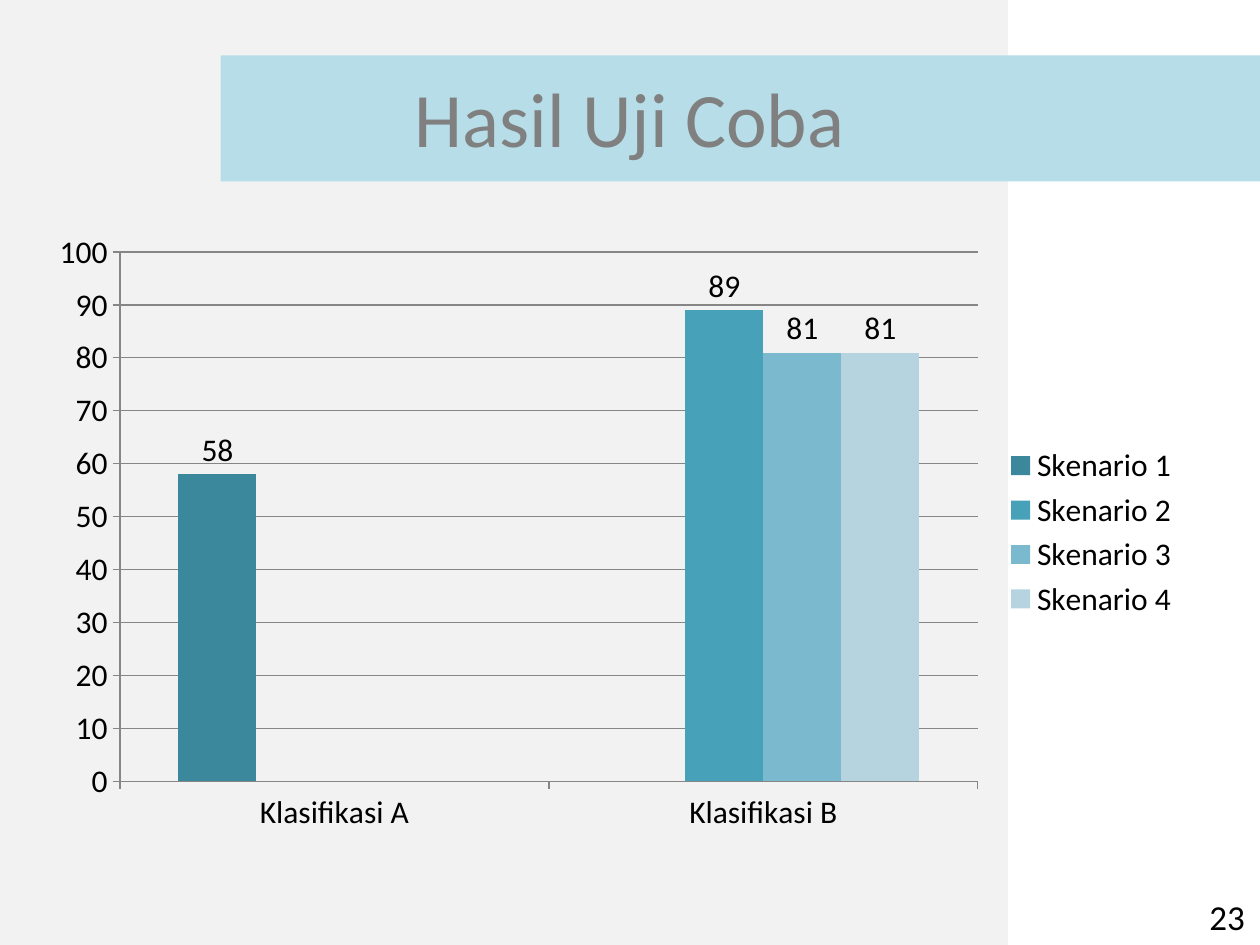
from dataclasses import dataclass
from typing import Optional

import pptx
import pptx.chart.data
import pptx.dml.color
import pptx.enum.chart
import pptx.enum.shapes
import pptx.enum.text
import pptx.util
from pptx.util import Inches

FONT = "Calibri"
COLORS = {
    "panel": "F2F2F2",
    "band": "B7DEE8",
    "title": "808080",
    "text": "000000",
    "axis": "868686",
}
CATEGORIES = ["Klasifikasi A", "Klasifikasi B"]


@dataclass
class Frame:
    left: float
    top: float
    width: float
    height: float

    def lengths(self) -> tuple:
        return tuple(Inches(v) for v in (self.left, self.top, self.width, self.height))


@dataclass
class Scenario:
    name: str
    values: tuple[Optional[int], Optional[int]]
    color: str


SCENARIOS = [
    Scenario("Skenario 1", (58, None), "3B879B"),
    Scenario("Skenario 2", (None, 89), "46A1B9"),
    Scenario("Skenario 3", (None, 81), "7BB9CF"),
    Scenario("Skenario 4", (None, 81), "B6D4E0"),
]


def rgb(color: str) -> pptx.dml.color.RGBColor:
    return pptx.dml.color.RGBColor.from_string(color)


def style_font(font, size: float, color: str) -> None:
    font.name = FONT
    font.size = pptx.util.Pt(size)
    font.color.rgb = rgb(color)


def add_block(slide, frame: Frame, color: str) -> None:
    block = slide.shapes.add_shape(
        pptx.enum.shapes.MSO_SHAPE.RECTANGLE, *frame.lengths())
    block.shadow.inherit = False
    block.fill.solid()
    block.fill.fore_color.rgb = rgb(color)
    block.line.fill.background()


def add_text(slide, frame: Frame, text: str, size: float, color: str,
             align=pptx.enum.text.PP_ALIGN.LEFT,
             anchor=pptx.enum.text.MSO_ANCHOR.TOP) -> None:
    box = slide.shapes.add_textbox(*frame.lengths())
    box.text_frame.word_wrap = True
    box.text_frame.vertical_anchor = anchor
    para = box.text_frame.paragraphs[0]
    para.text = text
    para.alignment = align
    style_font(para.font, size, color)


def add_scenario_chart(slide, frame: Frame) -> None:
    data = pptx.chart.data.CategoryChartData()
    data.categories = CATEGORIES
    for scenario in SCENARIOS:
        data.add_series(scenario.name, scenario.values)
    chart = slide.shapes.add_chart(
        pptx.enum.chart.XL_CHART_TYPE.COLUMN_CLUSTERED, *frame.lengths(), data).chart
    style_font(chart.font, 18, COLORS["text"])
    chart.has_title = False
    chart.has_legend = True
    chart.legend.position = pptx.enum.chart.XL_LEGEND_POSITION.RIGHT
    chart.legend.include_in_layout = False

    value_axis = chart.value_axis
    value_axis.minimum_scale, value_axis.maximum_scale = 0, 100
    value_axis.major_unit = 10
    value_axis.has_major_gridlines = True
    lines = [value_axis.major_gridlines.format.line]
    for axis in (chart.category_axis, value_axis):
        axis.major_tick_mark = pptx.enum.chart.XL_TICK_MARK.OUTSIDE
        lines.append(axis.format.line)
    for line in lines:
        line.color.rgb = rgb(COLORS["axis"])
        line.width = pptx.util.Pt(0.75)

    plot = chart.plots[0]
    plot.gap_width = 150
    plot.overlap = 0
    plot.vary_by_categories = False
    for series, scenario in zip(plot.series, SCENARIOS):
        series.format.fill.solid()
        series.format.fill.fore_color.rgb = rgb(scenario.color)
        series.data_labels.show_value = True
        series.data_labels.position = pptx.enum.chart.XL_LABEL_POSITION.OUTSIDE_END


def main() -> None:
    deck = pptx.Presentation()
    deck.slide_width, deck.slide_height = Inches(10), Inches(7.5)
    slide = deck.slides.add_slide(deck.slide_layouts[6])

    add_block(slide, Frame(0, 0, 8, 7.5), COLORS["panel"])
    add_block(slide, Frame(1.75, 0.44, 8.25, 1), COLORS["band"])
    add_text(slide, Frame(0.5, 0.3, 9, 1.25), "Hasil Uji Coba", 44, COLORS["title"],
             pptx.enum.text.PP_ALIGN.CENTER, pptx.enum.text.MSO_ANCHOR.MIDDLE)
    add_scenario_chart(slide, Frame(0.29, 1.75, 9.17, 4.95))
    add_text(slide, Frame(9.5, 7.06, 0.5, 0.44), "23", 20, COLORS["text"])

    deck.save("out.pptx")


if __name__ == "__main__":
    main()
